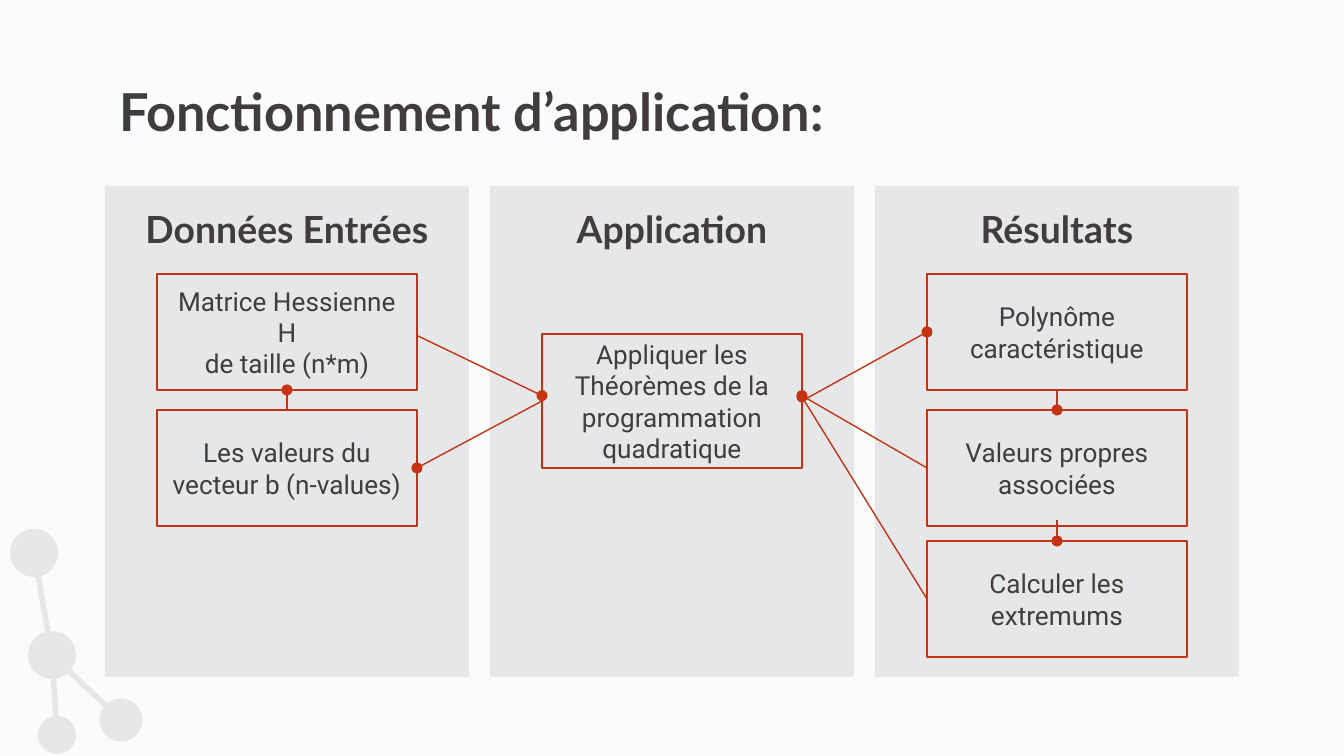
from lxml import etree
from pptx import Presentation
from pptx.dml.color import RGBColor
from pptx.enum.shapes import MSO_CONNECTOR, MSO_SHAPE
from pptx.enum.text import MSO_ANCHOR, MSO_AUTO_SIZE, PP_ALIGN
from pptx.oxml.ns import qn
from pptx.util import Pt

RECT, OVAL = MSO_SHAPE.RECTANGLE, MSO_SHAPE.OVAL
STRAIGHT = MSO_CONNECTOR.STRAIGHT
TOP, MIDDLE, BOTTOM = MSO_ANCHOR.TOP, MSO_ANCHOR.MIDDLE, MSO_ANCHOR.BOTTOM
LEFT, CENTER = PP_ALIGN.LEFT, PP_ALIGN.CENTER
NO_FIT = MSO_AUTO_SIZE.NONE

SLIDE_W, SLIDE_H = 1344, 756
SCALE = 9144000 / SLIDE_W  # EMU per px
BACK, GREY, INK, RED = "F9FBFC", "E6E7E8", "413D3C", "C43413"
MARGIN = 13
PANEL_Y, PANEL_W, PANEL_H, PANEL_PITCH = 186, 364, 491, 385
HEAD_H = 78
STEP_X, STEP_W, STEP_H = 52, 260, 116


def px(n):
    return round(n * SCALE)


def color(value):
    return RGBColor.from_string(value)


def set_text(sp, text, size, font, bold=False, align=CENTER, anchor=MIDDLE):
    tf = sp.text_frame
    tf.word_wrap = True
    tf.auto_size = NO_FIT
    tf.vertical_anchor = anchor
    tf.margin_left = tf.margin_right = tf.margin_top = tf.margin_bottom = px(MARGIN)
    p = tf.paragraphs[0]
    p.text = text
    p.alignment = align
    p.font.size, p.font.name, p.font.bold = Pt(size), font, bold
    p.font.color.rgb = color(INK)


def add_shape(s, kind, box, fill=None, line=None):
    sp = s.shapes.add_shape(kind, *map(px, box))
    sp.shadow.inherit = False
    if fill:
        sp.fill.solid()
        sp.fill.fore_color.rgb = color(fill)
    else:
        sp.fill.background()
    if line:
        sp.line.color.rgb = color(line)
        sp.line.width = Pt(0.75)
    else:
        sp.line.fill.background()
    return sp


def add_line(s, start, end, rgb, width, dot=False):
    cx = s.shapes.add_connector(STRAIGHT, *map(px, (*start, *end)))
    cx.line.color.rgb = color(rgb)
    cx.line.width = Pt(width)
    if dot:
        etree.SubElement(cx.line._get_or_add_ln(), qn("a:tailEnd"), type="oval")
    etree.SubElement(cx._element.spPr, qn("a:effectLst"))


def add_molecule(s, x, y):
    # Discs as centre and diameter; every bond starts at the hub
    hub = (42, 125, 48)
    atoms = [(24, 23, 48), (47, 205, 38), (111, 190, 43)]
    for cx, cy, d in [hub, *atoms]:
        add_shape(s, OVAL, (x + cx - d / 2, y + cy - d / 2, d, d), fill=GREY)
    for cx, cy, _ in atoms:
        add_line(s, (x + hub[0], y + hub[1]), (x + cx, y + cy), GREY, 3)


def add_title(s, box, text):
    title = s.shapes.title
    title.left, title.top, title.width, title.height = map(px, box)
    set_text(title, text, 28, "Lato", True, LEFT, TOP)


def add_panel(s, x, y, heading, steps):
    """Draw one column; return the boxes of its steps."""
    add_shape(s, RECT, (x, y, PANEL_W, PANEL_H), fill=GREY)
    head = s.shapes.add_textbox(*map(px, (x, y, PANEL_W, HEAD_H)))
    set_text(head, heading, 20, "Lato", True, anchor=BOTTOM)
    boxes = []
    for text, dy, h in steps:
        box = (x + STEP_X, y + dy, STEP_W, h)
        set_text(add_shape(s, RECT, box, line=RED), text, 14, "Roboto")
        boxes.append(box)
    return boxes


def point(box, fx, fy):
    x, y, w, h = box
    return x + fx * w, y + fy * h


def main():
    prs = Presentation()
    prs.slide_width, prs.slide_height = px(SLIDE_W), px(SLIDE_H)
    s = prs.slides.add_slide(prs.slide_layouts[5])
    s.background.fill.solid()
    s.background.fill.fore_color.rgb = color(BACK)

    add_molecule(s, 10, 530)
    add_title(s, (106, 66, 1133, 85), "Fonctionnement d’application:")

    # Columns: heading, then steps as text, offset and height
    columns = [
        ("Données Entrées", [
            ("Matrice Hessienne H\vde taille (n*m)", 88, STEP_H),
            ("Les valeurs du vecteur b (n-values)", 224, STEP_H)]),
        ("Application", [
            ("Appliquer les Théorèmes de la programmation quadratique", 148, 134)]),
        ("Résultats", [
            ("Polynôme caractéristique", 88, STEP_H),
            ("Valeurs propres associées", 224, STEP_H),
            ("Calculer les extremums", 355, STEP_H)]),
    ]
    (matrix, vector), (theorems,), (polynomial, values, extrema) = [
        add_panel(s, 105 + i * PANEL_PITCH, PANEL_Y, heading, steps)
        for i, (heading, steps) in enumerate(columns)]

    # Links, with the dot at the second end
    links = [
        (matrix, (1, 0.53), theorems, (0, 0.46)),
        (theorems, (0, 0.5), vector, (1, 0.5)),
        (vector, (0.5, 0), matrix, (0.5, 1)),
        (theorems, (1, 0.5), polynomial, (0, 0.5)),
        (values, (0, 0.5), theorems, (1, 0.46)),
        (extrema, (0, 0.5), theorems, (1, 0.47)),
        (polynomial, (0.5, 1), values, (0.5, 0)),
        (values, (0.5, 0.95), extrema, (0.5, 0)),
    ]
    for a, start, b, end in links:
        add_line(s, point(a, *start), point(b, *end), RED, 0.75, dot=True)

    prs.save("out.pptx")


if __name__ == "__main__":
    main()
